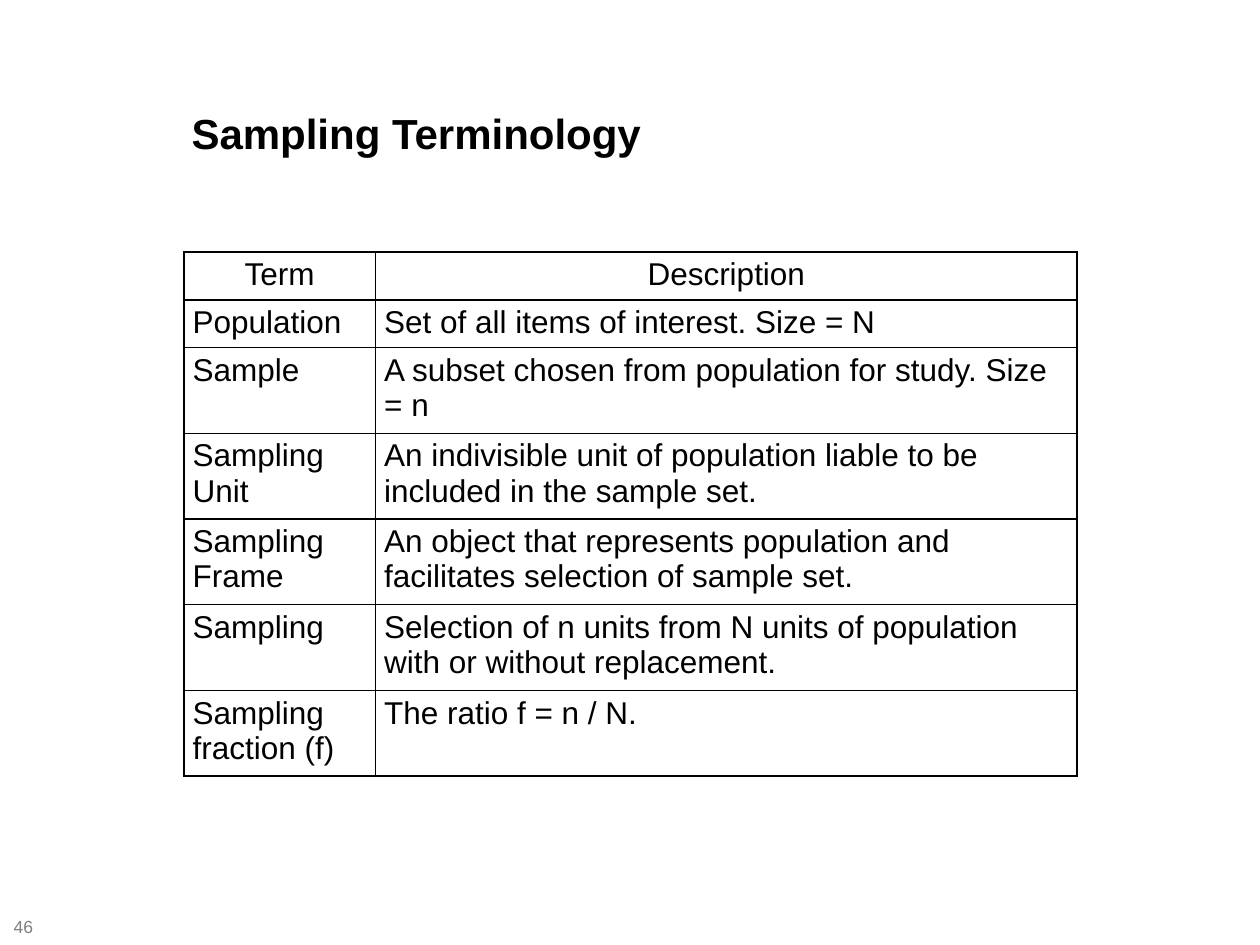
from lxml import etree
from pptx import Presentation
from pptx.dml.color import RGBColor
from pptx.enum.text import MSO_ANCHOR, PP_ALIGN
from pptx.oxml.ns import qn
from pptx.util import Inches, Pt

LEFT, CENTER = PP_ALIGN.LEFT, PP_ALIGN.CENTER
MIDDLE = MSO_ANCHOR.MIDDLE
BLACK = RGBColor(0x00, 0x00, 0x00)
GREY = RGBColor(0x7F, 0x7F, 0x7F)
FONT = "Arial"
WIDTH, HEIGHT = Inches(10), Inches(7.5)
COLUMNS = (1.52, 5.57)
ONE_LINE, TWO_LINES = 0.38, 0.68
ROW_HEIGHTS = [ONE_LINE] * 2 + [TWO_LINES] * 5
TERMS = [
    ("Term", "Description"),
    ("Population", "Set of all items of interest. Size = N"),
    ("Sample", "A subset chosen from population for study. Size = n"),
    ("Sampling Unit", "An indivisible unit of population liable to be "
     "included in the sample set."),
    ("Sampling Frame", "An object that represents population and "
     "facilitates selection of sample set."),
    ("Sampling", "Selection of n units from N units of population "
     "with or without replacement."),
    ("Sampling fraction (f)", "The ratio f = n / N."),
]


def set_margins(box, side, edge):
    box.margin_left = box.margin_right = Inches(side)
    box.margin_top = box.margin_bottom = Inches(edge)


def write(tf, text, size, color=BLACK, bold=False, align=LEFT):
    p = tf.paragraphs[0]
    p.alignment = align
    r = p.add_run()
    r.text = text
    r.font.name, r.font.size, r.font.bold = FONT, Pt(size), bold
    r.font.color.rgb = color
    return p


def add_title(s, text):
    title = s.shapes.title
    title.left, title.top = Inches(1.45), Inches(0.8)
    title.width, title.height = Inches(7.5), Inches(0.56)
    tf = title.text_frame
    tf.vertical_anchor = MIDDLE
    set_margins(tf, 0.07, 0.04)
    write(tf, text, 24, bold=True).line_spacing = 0.9


def add_page_number(s, number):
    tf = s.shapes.add_textbox(Inches(0.01), Inches(7.27),
                              Inches(0.39), Inches(0.16)).text_frame
    tf.word_wrap = True
    tf.vertical_anchor = MIDDLE
    set_margins(tf, 0.1, 0.05)
    write(tf, number, 10, GREY)


def add_borders(cell):
    tc_pr = cell._tc.get_or_add_tcPr()
    for i, side in enumerate(("lnL", "lnR", "lnT", "lnB")):
        ln = etree.Element(qn(f"a:{side}"), w=str(Pt(1)))
        fill = etree.SubElement(ln, qn("a:solidFill"))
        etree.SubElement(fill, qn("a:srgbClr"), val=str(BLACK))
        tc_pr.insert(i, ln)


def add_terms_table(s):
    table = s.shapes.add_table(
        len(TERMS), len(COLUMNS), Inches(1.46), Inches(2),
        Inches(sum(COLUMNS)), Inches(sum(ROW_HEIGHTS))).table
    table.horz_banding = False
    for column, width in zip(table.columns, COLUMNS):
        column.width = Inches(width)
    for i, (row, height, texts) in enumerate(
            zip(table.rows, ROW_HEIGHTS, TERMS)):
        row.height = Inches(height)
        for cell, text in zip(row.cells, texts):
            cell.fill.background()
            set_margins(cell, 0.07, 0.04)
            add_borders(cell)
            write(cell.text_frame, text, 18,
                  align=LEFT if i else CENTER)


def main():
    prs = Presentation()
    prs.slide_width, prs.slide_height = WIDTH, HEIGHT
    s = prs.slides.add_slide(prs.slide_layouts[5])
    add_page_number(s, "46")
    add_title(s, "Sampling Terminology")
    add_terms_table(s)
    prs.save("out.pptx")


if __name__ == "__main__":
    main()
